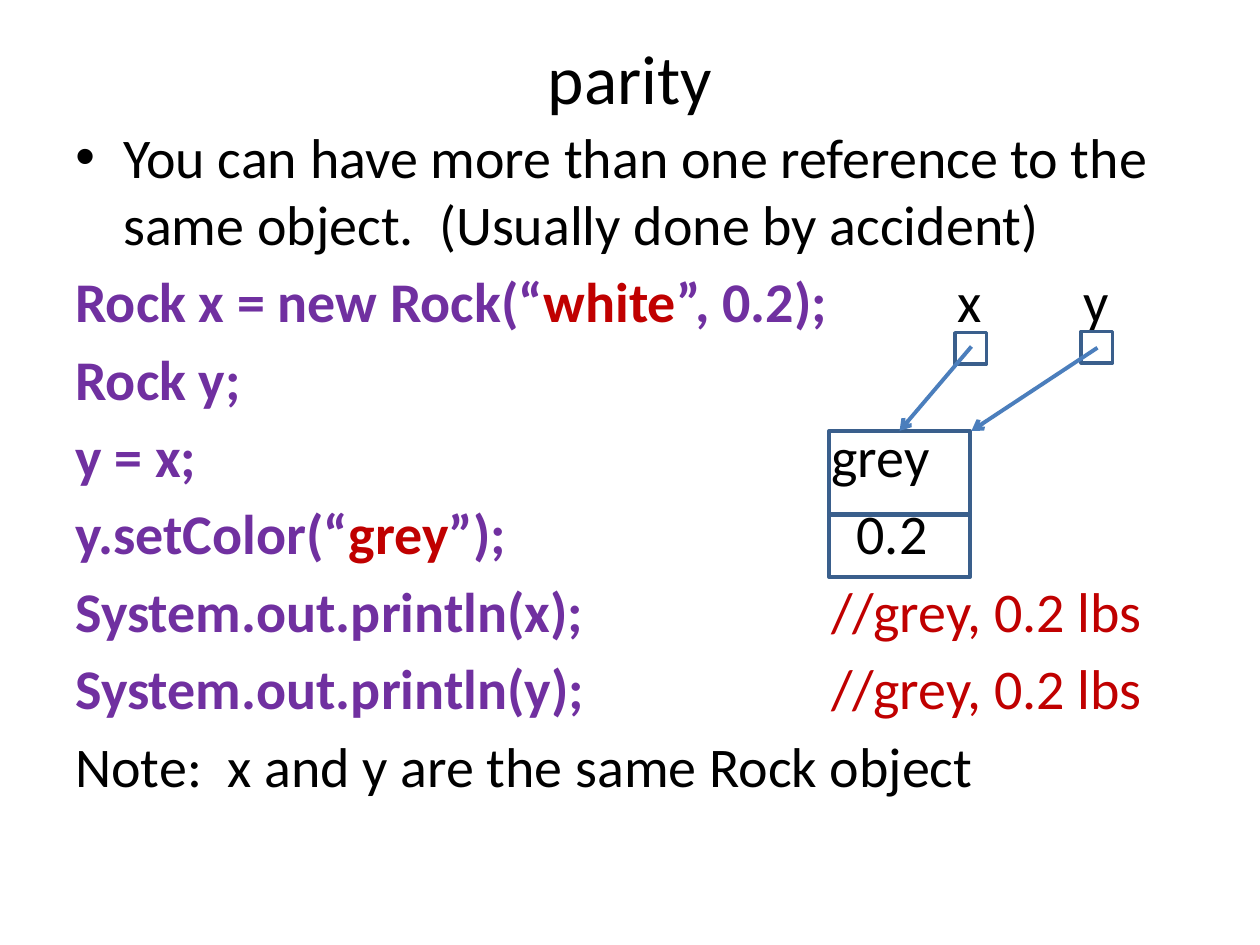
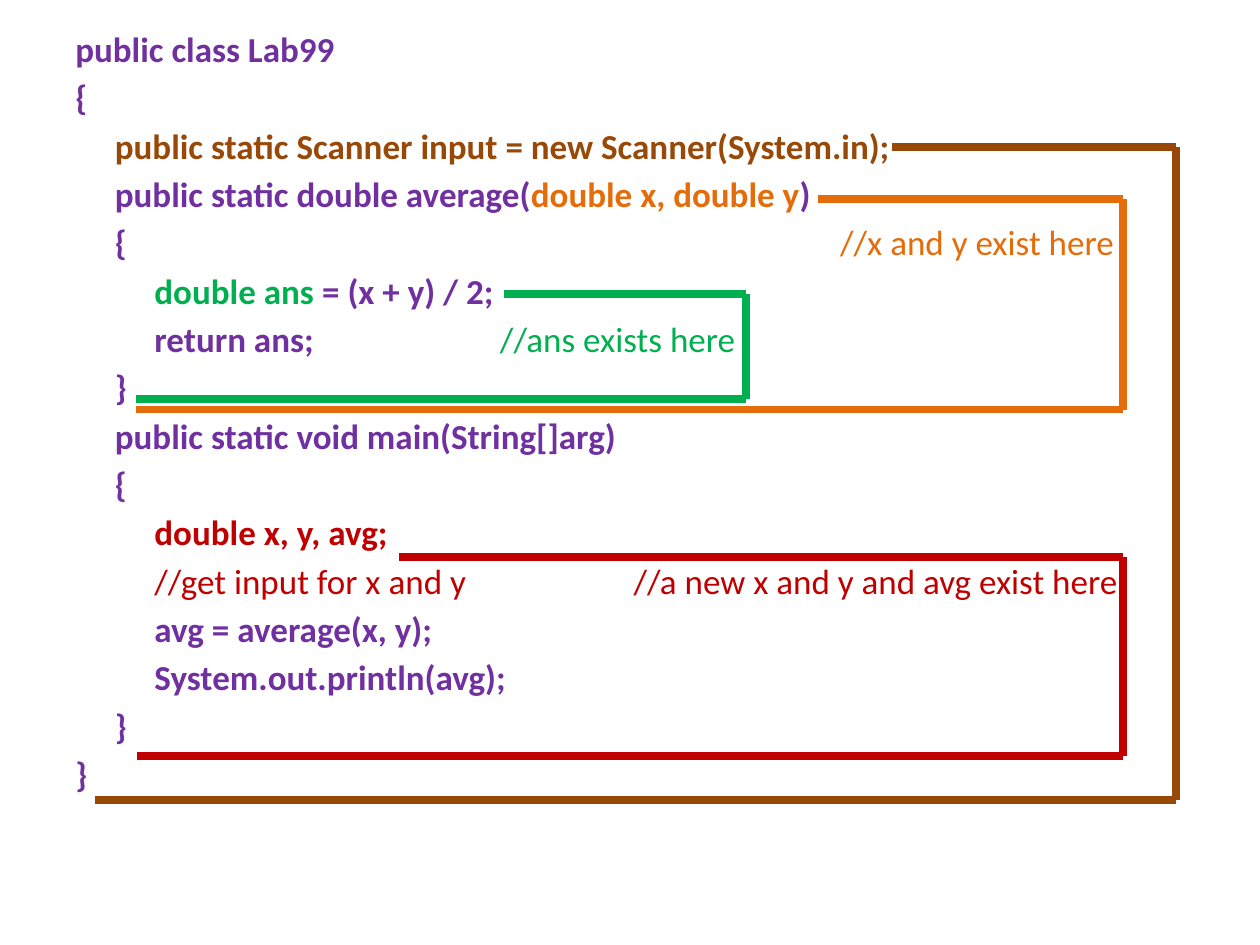
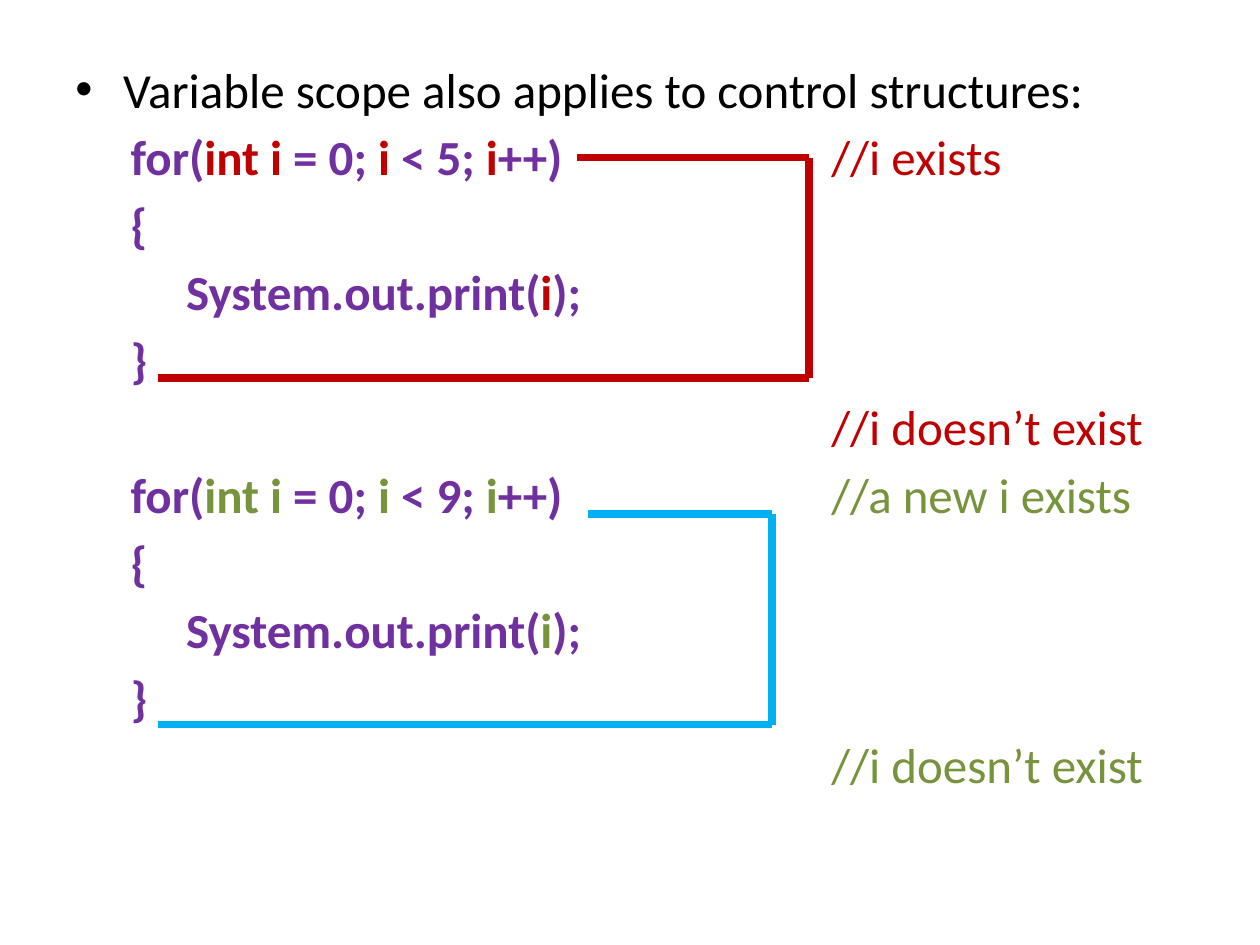
import pptx
import pptx.dml.color
import pptx.enum.shapes
import pptx.enum.text
import pptx.oxml.ns
import pptx.util
from lxml import etree

Inches = pptx.util.Inches
BLACK, PURPLE, RED = "000000", "7030A0", "C00000"
BROWN, ORANGE, GREEN = "984807", "E46C0A", "00B050"
OLIVE, SKY = "77933C", "00B0F0"
BOX_LINE, ARROW_LINE = "3A5F8C", "4B7EBC"


def rgb(color):
    return pptx.dml.color.RGBColor.from_string(color)


def add_xml(parent, tag, **attrs):
    return etree.SubElement(parent, pptx.oxml.ns.qn(tag), attrs)


def code(text, color=PURPLE):
    return text, color, True


def plain(text, color=BLACK):
    return text, color, False


class Deck:
    """Holds the shared style and the current slide."""
    font = "Calibri"
    left, width = 0.5, 9
    space_ratio = 0.18
    bracket_weight = 4.5

    def __init__(self):
        self.prs = pptx.Presentation()
        self.prs.slide_width, self.prs.slide_height = Inches(10), Inches(7.5)
        self.s = None

    def new_slide(self):
        self.s = self.prs.slides.add_slide(self.prs.slide_layouts[6])

    def text_frame(self, top, height):
        sp = self.s.shapes.add_textbox(Inches(self.left), Inches(top),
                                       Inches(self.width), Inches(height))
        tf = sp.text_frame
        tf.word_wrap = True
        return tf

    def add_runs(self, p, runs, size):
        for text, color, bold in runs:
            r = p.add_run()
            r.text = text
            r.font.name, r.font.size = self.font, pptx.util.Pt(size)
            r.font.bold, r.font.color.rgb = bold, rgb(color)

    def title(self, text):
        tf = self.text_frame(0.3, 0.62)
        tf.vertical_anchor = pptx.enum.text.MSO_ANCHOR.MIDDLE
        p = tf.paragraphs[0]
        p.alignment = pptx.enum.text.PP_ALIGN.CENTER
        self.add_runs(p, [plain(text)], 39.6)

    def body(self, top, height, size, lines, bullet=False, tabs=None):
        """Write lines of runs; tabs maps a line number to its tab stops."""
        tf = self.text_frame(top, height)
        for i, runs in enumerate(lines):
            p = tf.paragraphs[0] if i == 0 else tf.add_paragraph()
            pPr = p._p.get_or_add_pPr()
            if i == 0 and bullet:
                pPr.set("marL", str(Inches(0.38)))
                pPr.set("indent", str(Inches(-0.38)))
                add_xml(pPr, "a:buFont", typeface="Arial")
                add_xml(pPr, "a:buChar", char="•")
            if tabs and i in tabs:
                tab_list = add_xml(pPr, "a:tabLst")
                for stop in tabs[i]:
                    add_xml(tab_list, "a:tab", pos=str(Inches(stop)), algn="l")
            if i > 0:
                p.space_before = pptx.util.Pt(round(size * self.space_ratio, 1))
            self.add_runs(p, runs, size)

    def box(self, x, y, w, h):
        sp = self.s.shapes.add_shape(pptx.enum.shapes.MSO_SHAPE.RECTANGLE,
                                     Inches(x), Inches(y), Inches(w), Inches(h))
        sp.shadow.inherit = False
        sp.fill.background()
        sp.line.color.rgb, sp.line.width = rgb(BOX_LINE), pptx.util.Pt(2)
        return sp

    def line(self, x1, y1, x2, y2, color, weight):
        sp = self.s.shapes.add_connector(pptx.enum.shapes.MSO_CONNECTOR.STRAIGHT,
                                         Inches(x1), Inches(y1), Inches(x2), Inches(y2))
        sp.line.color.rgb, sp.line.width = rgb(color), pptx.util.Pt(weight)
        add_xml(sp._element.spPr, "a:effectLst")
        return sp

    def arrow(self, x1, y1, x2, y2):
        sp = self.line(x1, y1, x2, y2, ARROW_LINE, 2.25)
        add_xml(sp.line._get_or_add_ln(), "a:tailEnd", type="arrow")
        return sp

    def bracket(self, color, start, end, right, top, bottom):
        """Mark a scope from its declaration to its closing brace."""
        for ends in ((start, top, right, top), (right, top, right, bottom),
                     (end, bottom, right, bottom)):
            self.line(*ends, color, self.bracket_weight)


def parity_slide(deck):
    deck.new_slide()
    deck.title("parity")
    result = plain("\t//grey, 0.2 lbs", RED)
    deck.body(0.92, 5.78, 32, [
        [plain("You can have more than one reference to the same object.  "
               "(Usually done by accident)")],
        [code("Rock x = new Rock(“"), code("white", RED), code("”, 0.2);"),
         plain("\tx\ty")],
        [code("Rock y;")],
        [code("y = x;"), plain("\tgrey")],
        [code("y.setColor(“"), code("grey", RED), code("”);"), plain("\t0.2")],
        [code("System.out.println(x);"), result],
        [code("System.out.println(y);"), result],
        [plain("Note:  x and y are the same Rock object")],
    ], bullet=True, tabs={1: [7, 8], 3: [6], 4: [6.2], 5: [6], 6: [6]})

    # References x and y, and the object they share
    for x, y in ((7.58, 2.64), (8.58, 2.63)):
        deck.box(x, y, 0.25, 0.25)
    color_cell = deck.box(6.58, 3.42, 1.12, 0.67)
    deck.box(6.58, 4.08, 1.12, 0.5)
    deck.arrow(7.71, 2.75, 7.14, 3.42).end_connect(color_cell, 0)
    deck.arrow(8.71, 2.76, 7.71, 3.42)


def method_scope_slide(deck):
    deck.new_slide()
    deck.body(0.17, 6.5, 20, [
        [code("public class Lab99")],
        [code("{")],
        [code("     public static Scanner input = new Scanner(System.in);", BROWN)],
        [code("     public static double average("),
         code("double x, double y", ORANGE), code(")")],
        [code("     {"), plain("\t//x and y exist here", ORANGE)],
        [code("          double ans ", GREEN), code("= (x + y) / 2;")],
        [code("          return ans;"), plain("\t//ans exists here", GREEN)],
        [code("     }")],
        [code("     public static void main(String[]arg)")],
        [code("     {")],
        [code("          double x, y, avg;", RED)],
        [plain("          //get input for x and y"
               "\t//a new x and y and avg exist here", RED)],
        [code("          avg = average(x, y);")],
        [code("          System.out.println(avg);")],
        [code("     }")],
        [code("}")],
    ], tabs={4: [6.07], 6: [3.37], 11: [4.43]})

    # Scope of each variable
    deck.bracket(BROWN, 7.08, 0.75, 9.33, 1.17, 6.35)
    deck.bracket(ORANGE, 6.49, 1.08, 8.91, 1.58, 3.25)
    deck.bracket(GREEN, 4, 1.08, 5.92, 2.33, 3.17)
    deck.bracket(RED, 3.17, 1.09, 8.91, 4.42, 6)


def loop_lines(limit, color, comment):
    return [
        [code("     for("), code("int i", color), code(" = 0; "), code("i", color),
         code(f" < {limit}; "), code("i", color), code("++)"),
         plain("\t" + comment, color)],
        [code("     {")],
        [code("          System.out.print("), code("i", color), code(");")],
        [code("     }")],
        [plain("\t//i doesn’t exist", color)],
    ]


def loop_scope_slide(deck):
    deck.new_slide()
    lines = [[plain("Variable scope also applies to control structures:")]]
    lines += loop_lines(5, RED, "//i exists")
    lines += loop_lines(9, OLIVE, "//a new i exists")
    deck.body(0.42, 6.28, 28, lines, bullet=True,
              tabs={i: [6] for i in (1, 5, 6, 10)})

    # Scope of each loop variable
    deck.bracket(RED, 4.58, 1.25, 6.42, 1.25, 3)
    deck.bracket(SKY, 4.67, 1.25, 6.13, 4.08, 5.75)


def main():
    deck = Deck()
    parity_slide(deck)
    method_scope_slide(deck)
    loop_scope_slide(deck)
    deck.prs.save("out.pptx")


if __name__ == "__main__":
    main()
